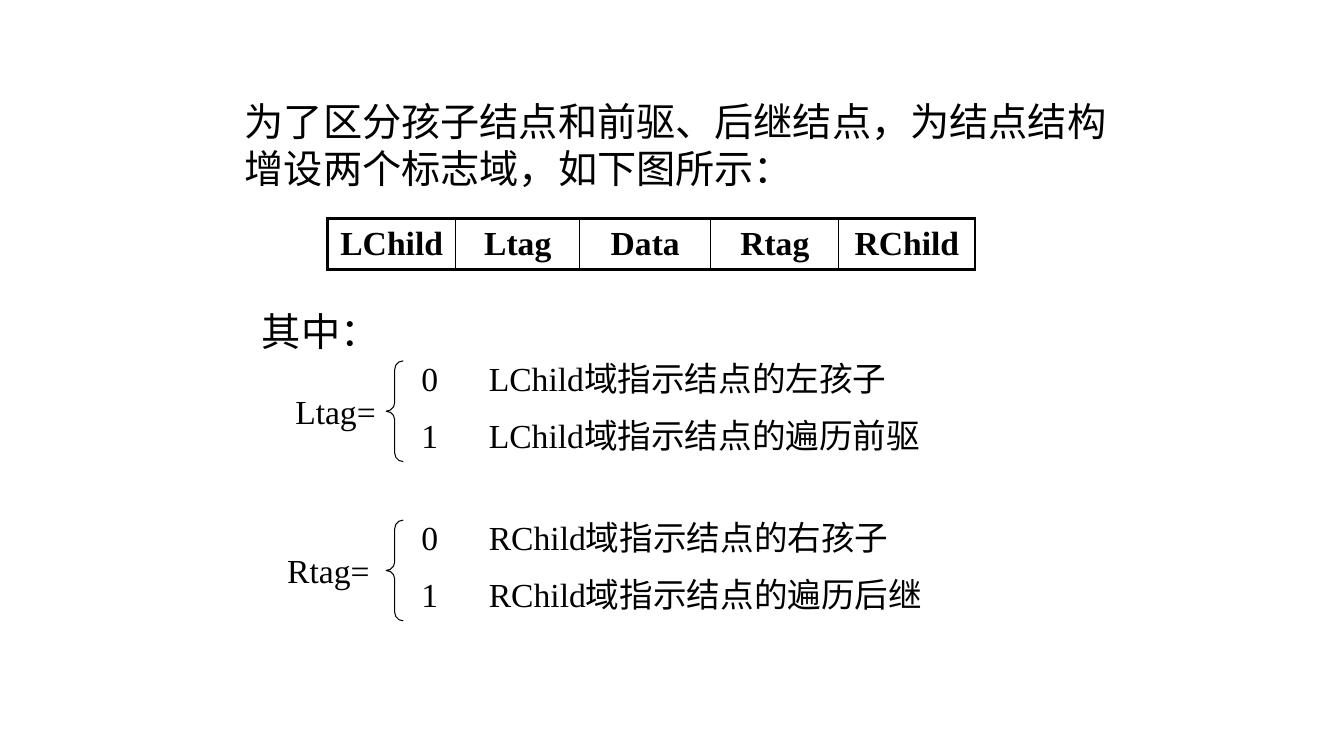
from dataclasses import dataclass

from lxml.etree import SubElement
from pptx import Presentation
from pptx.dml.color import RGBColor
from pptx.enum.shapes import MSO_SHAPE as Shape
from pptx.enum.text import MSO_ANCHOR as Anchor, MSO_AUTO_SIZE as AutoSize, PP_ALIGN as Align
from pptx.oxml.ns import qn
from pptx.util import Inches, Pt


@dataclass(frozen=True)
class Theme:
    ink: RGBColor = RGBColor(0, 0, 0)
    font: str = "Times New Roman"
    body: int = 28
    detail: int = 24
    frame: float = 2.25
    divider: float = 1
    brace: float = 0.75


THEME = Theme()
NODE_FIELDS = {"LChild": 1.27, "Ltag": 1.23, "Data": 1.3, "Rtag": 1.27, "RChild": 1.35}


def write(paragraph, wording, size, bold=False):
    run = paragraph.add_run()
    run.text = wording
    run.font.color.rgb = THEME.ink
    formats = {"name": THEME.font, "size": Pt(size), "bold": bold}
    for attribute, value in formats.items():
        setattr(run.font, attribute, value)


def add_text(slide, box, lines, size, tab=None):
    """Stack lines in a text box, with an optional tab stop in inches."""
    frame = slide.shapes.add_textbox(*map(Inches, box)).text_frame
    frame.word_wrap = True
    frame.auto_size = AutoSize.SHAPE_TO_FIT_TEXT
    for index, line in enumerate(lines):
        paragraph = frame.paragraphs[0] if index == 0 else frame.add_paragraph()
        if index:
            paragraph.space_before = Pt(size / 2)
        if tab:
            stops = SubElement(paragraph._p.get_or_add_pPr(), qn("a:tabLst"))
            SubElement(stops, qn("a:tab"), pos=str(Inches(tab)), algn="l")
        write(paragraph, line, size)


def set_borders(cell, widths):
    """Draw cell borders from widths keyed L, R, T, B."""
    properties = cell._tc.get_or_add_tcPr()
    for side, width in widths.items():
        line = SubElement(properties, qn(f"a:ln{side}"), w=str(Pt(width)))
        fill = SubElement(line, qn("a:solidFill"))
        SubElement(fill, qn("a:srgbClr"), val=str(THEME.ink))


def node_table(slide, left, top, height):
    """One row with the five fields of a node."""
    box = (left, top, sum(NODE_FIELDS.values()), height)
    table = slide.shapes.add_table(1, len(NODE_FIELDS), *map(Inches, box)).table
    table.first_row = table.horz_banding = False
    last = len(NODE_FIELDS) - 1
    for index, (field, width) in enumerate(NODE_FIELDS.items()):
        table.columns[index].width = Inches(width)
        cell = table.cell(0, index)
        set_borders(cell, {
            "L": THEME.frame if index == 0 else THEME.divider,
            "R": THEME.frame if index == last else THEME.divider,
            "T": THEME.frame,
            "B": THEME.frame,
        })
        cell.fill.background()
        cell.vertical_anchor = Anchor.MIDDLE
        paragraph = cell.text_frame.paragraphs[0]
        paragraph.alignment = Align.CENTER
        write(paragraph, field, THEME.detail, bold=True)


def tag_definition(slide, left, top, label, label_left, cases):
    """Label, brace and the two meanings of a tag; left is the brace's edge."""
    add_text(slide, (label_left, top + 0.33, 1.08, 0.5), [label], THEME.detail)

    brace_box = (left, top + 0.08, 0.17, 1)
    brace = slide.shapes.add_shape(Shape.LEFT_BRACE, *map(Inches, brace_box))
    brace.adjustments[0] = 0.5
    brace.shadow.inherit = False
    brace.fill.background()
    brace.line.color.rgb = THEME.ink
    brace.line.width = Pt(THEME.brace)

    lines = [f"{value}\t{meaning}" for value, meaning in enumerate(cases)]
    add_text(slide, (left + 0.25, top, 6.08, 1.11), lines, THEME.detail, tab=0.67)


def main():
    deck = Presentation()
    deck.slide_width, deck.slide_height = Inches(13.33), Inches(7.5)
    slide = deck.slides.add_slide(deck.slide_layouts[6])

    # Introduction and node structure
    node_table(slide, 3.25, 2.17, 0.5)
    add_text(slide, (2.33, 0.92, 9.08, 1.03),
             ["为了区分孩子结点和前驱、后继结点，为结点结构增设两个标志域，如下图所示："], THEME.body)

    # Meaning of the tags
    add_text(slide, (2.5, 3, 8.5, 0.57), ["其中："], THEME.body)
    tag_definition(slide, 3.83, 3.5, "Ltag=", 2.83,
                   ["LChild域指示结点的左孩子", "LChild域指示结点的遍历前驱"])
    tag_definition(slide, 3.83, 5.08, "Rtag=", 2.75,
                   ["RChild域指示结点的右孩子", "RChild域指示结点的遍历后继"])

    deck.save("out.pptx")


if __name__ == "__main__":
    main()
